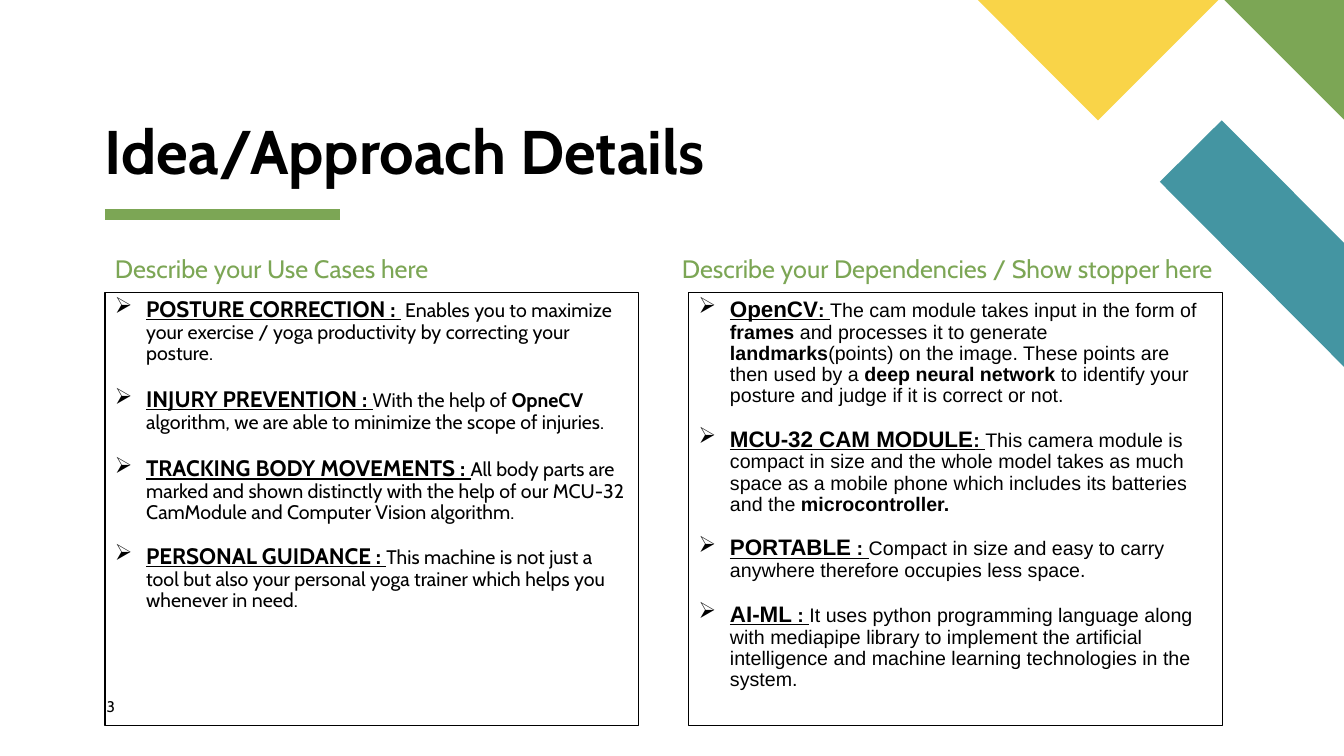
from dataclasses import dataclass
from enum import Enum

from lxml.etree import SubElement
from pptx import Presentation
from pptx.dml.color import RGBColor
from pptx.enum.shapes import MSO_CONNECTOR as Connector, MSO_SHAPE as Preset
from pptx.enum.text import MSO_ANCHOR as Anchor, PP_ALIGN as Align
from pptx.oxml.ns import qn
from pptx.util import Emu, Inches, Pt

CELL = Emu(190500)  # square grid cell
COLUMNS, ROWS = 64, 36


@dataclass(frozen=True)
class Theme:
    green: str = "7CA655"
    teal: str = "4495A2"
    yellow: str = "F9D448"
    black: str = "000000"
    display_font: str = "Cabin"
    body_font: str = "Arial"
    bullet_font: str = "Wingdings"
    bullet: str = "Ø"  # an arrowhead in the bullet font
    title_size: float = 44
    heading_size: float = 18
    term_size: float = 16
    body_size: float = 14
    number_size: float = 11
    line_spacing: float = 0.9
    bar_width: float = 8
    border_width: float = 0.75


THEME = Theme()


class Style(Enum):
    """Size, bold, underline."""
    TERM = (THEME.term_size, True, True)
    COLON = (THEME.body_size, True, True)
    BOLD = (THEME.body_size, True, False)
    PLAIN = (THEME.body_size, False, False)


@dataclass(frozen=True)
class Box:
    """Position and size in grid cells."""
    column: float
    row: float
    columns: float
    rows: float

    def emu(self) -> list[Emu]:
        return [cells(n) for n in (self.column, self.row, self.columns, self.rows)]


@dataclass(frozen=True)
class Label:
    text: str
    box: Box
    size: float
    color: str
    bold: bool = False
    inset: bool = False
    anchor: Anchor = Anchor.TOP
    line_spacing: float = THEME.line_spacing


@dataclass(frozen=True)
class Entry:
    """One bullet: its spans and the space above it in points."""
    spans: tuple
    gap: float = 0


@dataclass(frozen=True)
class Panel:
    box: Box
    font: str
    entries: tuple


@dataclass(frozen=True)
class Ornament:
    color: str
    corners: tuple


MARGIN, PANEL_TOP, PANEL_WIDTH, PANEL_HEIGHT = 5, 13.95, 25.4, 20.6
HEADING_ROW, HEADING_HEIGHT = 12, 1.7

ORNAMENTS = (
    Ornament(THEME.teal, ((64, 17.47), (64, 11.57), (58.18, 5.73), (55.23, 8.66))),
    Ornament(THEME.green, ((64, 5.7), (64, 0), (58.3, 0))),
    Ornament(THEME.yellow, ((46.56, 0), (52.29, 5.73), (58.02, 0))),
)

LABELS = (
    Label("Idea/Approach Details", Box(MARGIN, 5.76, 30.3, 3.2), THEME.title_size,
          THEME.black, bold=True, anchor=Anchor.BOTTOM),
    Label("Describe your Use Cases here", Box(MARGIN, HEADING_ROW, PANEL_WIDTH, HEADING_HEIGHT),
          THEME.heading_size, THEME.green, inset=True),
    Label("Describe your Dependencies / Show stopper here",
          Box(32, HEADING_ROW, 27, HEADING_HEIGHT), THEME.heading_size, THEME.green, inset=True),
    Label("3", Box(5.08, 33.2, 2.75, 1.3), THEME.number_size, THEME.black, line_spacing=1.0),
)

USE_CASES = Panel(Box(MARGIN, PANEL_TOP, PANEL_WIDTH, PANEL_HEIGHT), THEME.display_font, (
    Entry((("POSTURE CORRECTION : ", Style.TERM),
           (" Enables you to maximize your exercise / yoga productivity by correcting "
            "your posture.", Style.PLAIN))),
    Entry((("INJURY PREVENTION : ", Style.TERM), ("With the help of ", Style.PLAIN),
           ("OpneCV ", Style.BOLD),
           ("algorithm, we are able to minimize the scope of injuries.", Style.PLAIN)), 17),
    Entry((("TRACKING BODY MOVEMENTS : ", Style.TERM),
           ("All body parts are marked and shown distinctly with the help of our MCU-32 "
            "CamModule and Computer Vision algorithm.", Style.PLAIN)), 17),
    Entry((("PERSONAL GUIDANCE : ", Style.TERM),
           ("This machine is not just a tool but also your personal yoga trainer which "
            "helps you whenever in need.", Style.PLAIN)), 15),
))

DEPENDENCIES = Panel(Box(32.8, PANEL_TOP, PANEL_WIDTH, PANEL_HEIGHT), THEME.body_font, (
    Entry((("OpenCV", Style.TERM), (": ", Style.COLON),
           ("The cam module takes input in the form of ", Style.PLAIN), ("frames", Style.BOLD),
           (" and processes it to generate ", Style.PLAIN), ("landmarks", Style.BOLD),
           ("(points) on the image. These points are then used by a ", Style.PLAIN),
           ("deep neural network ", Style.BOLD),
           ("to identify your posture and judge if it is correct or not.", Style.PLAIN))),
    Entry((("MCU-32 CAM MODULE", Style.TERM), (": ", Style.COLON),
           ("This camera module is compact in size and the whole model takes as much space "
            "as a mobile phone which includes its batteries and the ", Style.PLAIN),
           ("microcontroller.", Style.BOLD)), 15),
    Entry((("PORTABLE", Style.TERM), (" : ", Style.COLON),
           ("Compact in size and easy to carry anywhere therefore occupies less space.",
            Style.PLAIN)), 15),
    Entry((("AI-ML", Style.TERM), (" : ", Style.COLON),
           ("It uses python programming language along with mediapipe library to implement "
            "the artificial intelligence and machine learning technologies in the system.",
            Style.PLAIN)), 15),
))


def cells(count: float) -> Emu:
    return Emu(round(count * CELL))


def rgb(color: str) -> RGBColor:
    return RGBColor.from_string(color)


def format_run(run, font: str, size: float, color: str, bold: bool, underline: bool = False) -> None:
    run.font.name, run.font.size = font, Pt(size)
    run.font.bold, run.font.underline = bold, underline
    run.font.color.rgb = rgb(color)


def set_frame(frame, anchor: Anchor, inset: bool) -> None:
    frame.word_wrap, frame.vertical_anchor = True, anchor
    frame.margin_left = frame.margin_right = Inches(0.1 if inset else 0)
    frame.margin_top = frame.margin_bottom = Inches(0.05 if inset else 0)


def add_bullet(paragraph) -> None:
    properties = paragraph._p.get_or_add_pPr()
    properties.set("marL", str(Inches(0.31)))
    properties.set("indent", str(-Inches(0.31)))
    SubElement(SubElement(properties, qn("a:buClr")), qn("a:srgbClr"), val=THEME.black)
    SubElement(properties, qn("a:buFont"), typeface=THEME.bullet_font, charset="2")
    SubElement(properties, qn("a:buChar"), char=THEME.bullet)


def draw_ornament(slide, ornament: Ornament) -> None:
    start, *others = [(cells(x), cells(y)) for x, y in ornament.corners]
    builder = slide.shapes.build_freeform(*start)
    builder.add_line_segments(others, close=True)
    shape = builder.convert_to_shape()
    shape.shadow.inherit = False
    shape.fill.solid()
    shape.fill.fore_color.rgb = rgb(ornament.color)
    shape.line.fill.background()


def draw_title_bar(slide) -> None:
    row = cells(10.2)
    bar = slide.shapes.add_connector(Connector.STRAIGHT, cells(MARGIN), row, cells(16.2), row)
    bar.line.color.rgb, bar.line.width = rgb(THEME.green), Pt(THEME.bar_width)
    SubElement(bar._element.spPr, qn("a:effectLst"))


def draw_label(slide, label: Label) -> None:
    frame = slide.shapes.add_textbox(*label.box.emu()).text_frame
    set_frame(frame, label.anchor, label.inset)
    frame.text = label.text
    paragraph = frame.paragraphs[0]
    paragraph.line_spacing = label.line_spacing
    format_run(paragraph.runs[0], THEME.display_font, label.size, label.color, label.bold)


def draw_panel(slide, panel: Panel) -> None:
    shape = slide.shapes.add_shape(Preset.RECTANGLE, *panel.box.emu())
    shape.shadow.inherit = False
    shape.fill.background()
    shape.line.color.rgb, shape.line.width = rgb(THEME.black), Pt(THEME.border_width)
    frame = shape.text_frame
    set_frame(frame, Anchor.TOP, inset=True)
    for index, entry in enumerate(panel.entries):
        paragraph = frame.add_paragraph() if index else frame.paragraphs[0]
        paragraph.alignment = Align.LEFT
        paragraph.line_spacing, paragraph.space_before = THEME.line_spacing, Pt(entry.gap)
        add_bullet(paragraph)
        for text, style in entry.spans:
            run = paragraph.add_run()
            run.text = text
            size, bold, underline = style.value
            format_run(run, panel.font, size, THEME.black, bold, underline)


def main() -> None:
    presentation = Presentation()
    presentation.slide_width, presentation.slide_height = cells(COLUMNS), cells(ROWS)
    slide = presentation.slides.add_slide(presentation.slide_layouts[6])
    draw_title_bar(slide)
    for ornament in ORNAMENTS:
        draw_ornament(slide, ornament)
    for panel in (USE_CASES, DEPENDENCIES):
        draw_panel(slide, panel)
    for label in LABELS:
        draw_label(slide, label)
    presentation.save("out.pptx")


if __name__ == "__main__":
    main()
